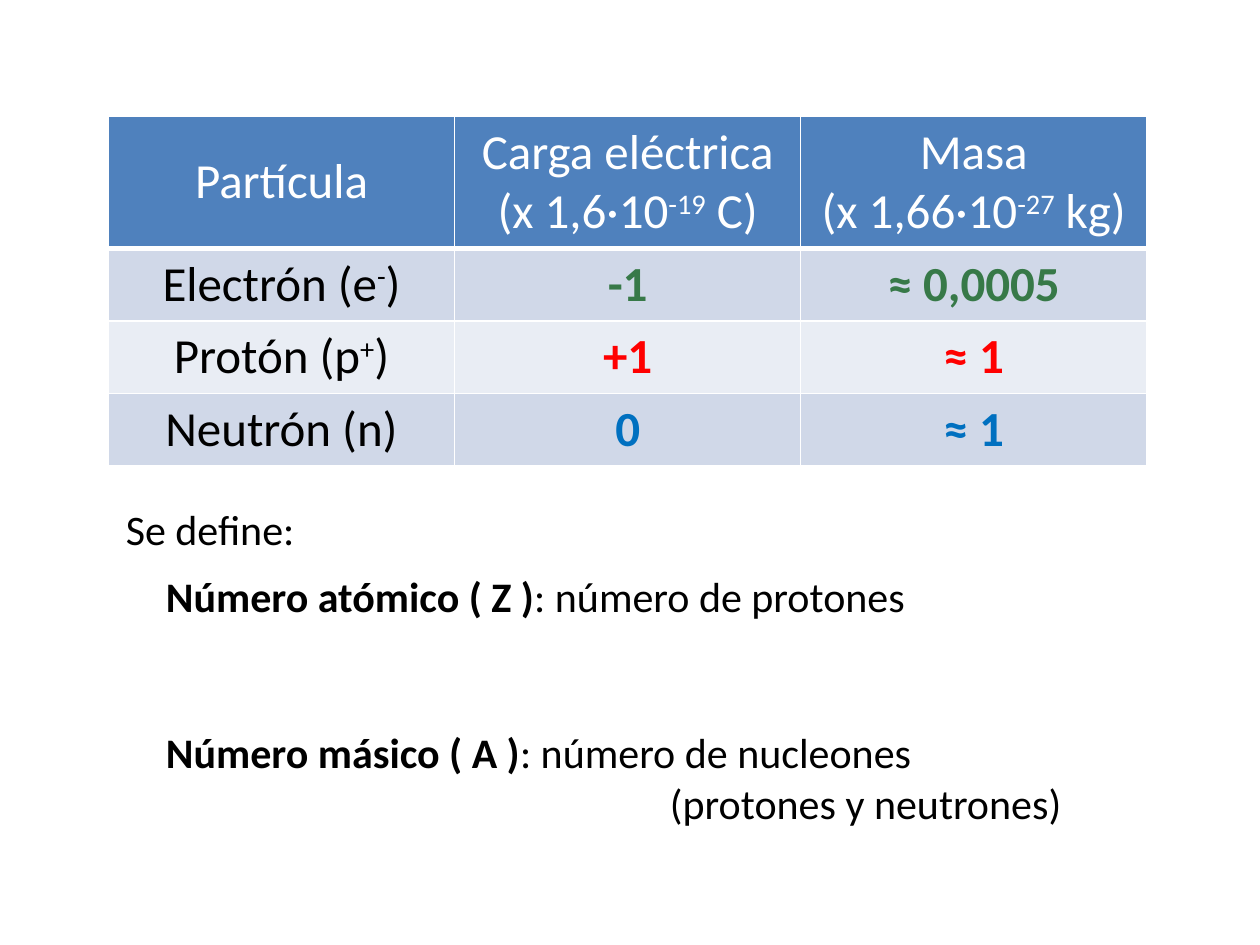
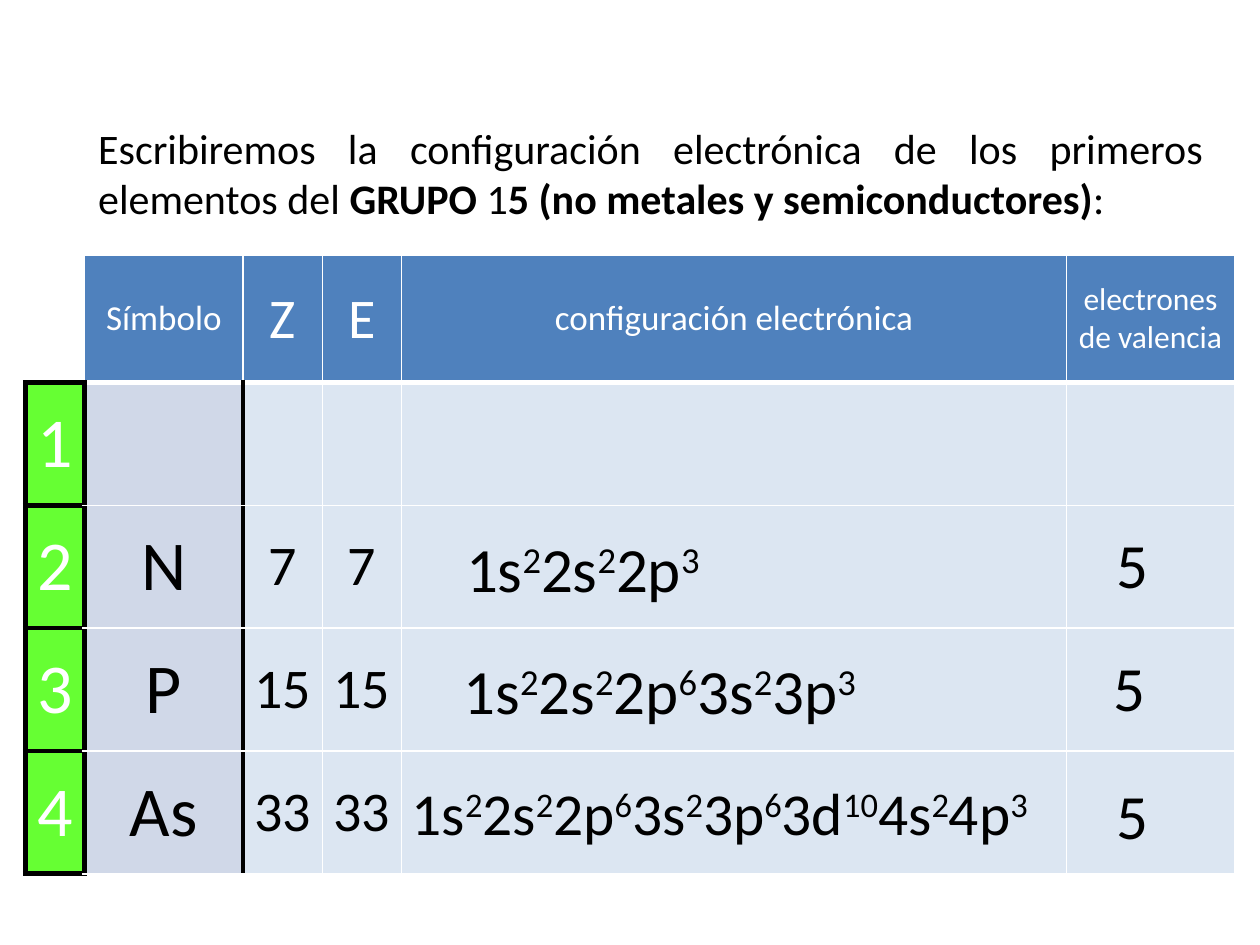
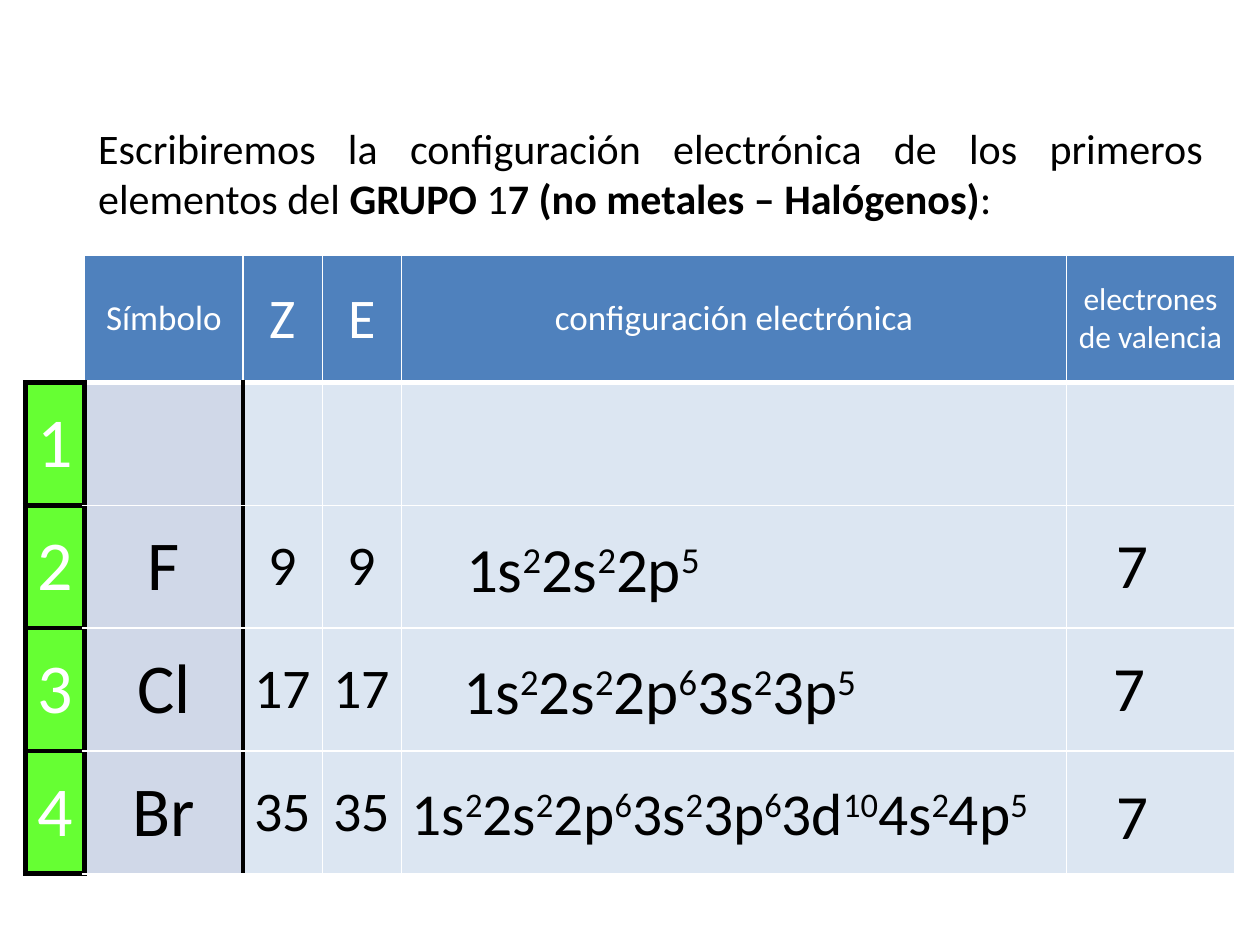
from pptx import Presentation
from pptx.dml.color import RGBColor
from pptx.enum.text import MSO_ANCHOR as Anchor, PP_ALIGN as Align
from pptx.oxml.ns import qn
from pptx.util import Pt
from lxml.etree import SubElement

FONT = "Calibri"
WHITE = RGBColor(0xFF, 0xFF, 0xFF)
BLACK = RGBColor(0x00, 0x00, 0x00)
BLUE = RGBColor(0x4F, 0x81, 0xBD)
BAND_DARK = RGBColor(0xD0, 0xD8, 0xE8)
BAND_LIGHT = RGBColor(0xE9, 0xED, 0xF4)
PALE = RGBColor(0xDC, 0xE6, 0xF2)
LIME = RGBColor(0x66, 0xFF, 0x33)
GREEN = RGBColor(0x37, 0x79, 0x48)
RED = RGBColor(0xFF, 0x00, 0x00)
AZURE = RGBColor(0x00, 0x70, 0xC0)

THIN = (WHITE, 1)
HEAVY = (BLACK, 3)

# ^...^ is superscript, *...* is bold
PARTICLE_HEAD = ["Partícula", "Carga eléctrica\n(x 1,6·10^-19^ C)",
                 "Masa\n(x 1,66·10^-27^ kg)"]
PARTICLES = [
    ("Electrón (e^-^)", "*-1*", "*≈ 0,0005*", GREEN),
    ("Protón (p^+^)", "*+1*", "*≈ 1*", RED),
    ("Neutrón (n)", "*0*", "*≈ 1*", AZURE),
]
DEFINITIONS = [
    ("Se define:", 64.8, 284.4, 36),
    ("*Número atómico ( Z )*: número de protones", 87.8, 322.6, 36),
    ("*Número másico ( A )*: número de nucleones\n(protones y neutrones)", 87.8, 411.8, 65.5),
]

INTRO = "Escribiremos la configuración electrónica de los primeros elementos del "
GROUP_HEAD = [("Símbolo", 20), ("Z", 32), ("E", 32),
              ("configuración electrónica", 20), ("electrones de valencia", 18)]
GROUPS = [
    ("*GRUPO *1*5 (no metales y semiconductores)*:",
     [("N", 7), ("P", 15), ("As", 33)], 3),
    ("*GRUPO *1*7 (no metales – Halógenos)*:",
     [("F", 9), ("Cl", 17), ("Br", 35)], 5),
]
SHELLS = [
    ("1s^2^2s^2^2p", 36, (259.2, 298.8, 209.5, 51), (630.7, 296.6)),
    ("1s^2^2s^2^2p^6^3s^2^3p", 36, (257.8, 368.6, 317.5, 80), (629.3, 367.2)),
    ("1s^2^2s^2^2p^6^3s^2^3p^6^3d^10^4s^2^4p", 34, (228.2, 440, 415.4, 48), (630.7, 440)),
]


def write(tf, text, size, color=BLACK, align=Align.LEFT):
    for i, line in enumerate(text.split("\n")):
        p = tf.paragraphs[0] if i == 0 else tf.add_paragraph()
        p.alignment = align
        for j, part in enumerate(line.split("*")):
            for k, piece in enumerate(part.split("^")):
                if not piece:
                    continue
                r = p.add_run()
                r.text = piece
                r.font.name, r.font.size = FONT, Pt(size)
                r.font.bold = j % 2 == 1
                r.font.color.rgb = color
                if k % 2:
                    r.font._element.set("baseline", "30000")


def add_text(s, text, left, top, width, height, size=24, align=Align.LEFT):
    tf = s.shapes.add_textbox(Pt(left), Pt(top), Pt(width), Pt(height)).text_frame
    tf.word_wrap = True
    write(tf, text, size, align=align)
    return tf


def add_grid(s, left, top, widths, heights):
    tbl = s.shapes.add_table(len(heights), len(widths), Pt(left), Pt(top),
                             Pt(sum(widths)), Pt(sum(heights))).table
    tbl.first_row = tbl.horz_banding = False
    for col, w in zip(tbl.columns, widths):
        col.width = Pt(w)
    for row, h in zip(tbl.rows, heights):
        row.height = Pt(h)
    return tbl


def fill_cell(cell, fill, text="", size=28, color=BLACK, tight=False, **edges):
    tcPr = cell._tc.get_or_add_tcPr()
    for side in "LRTB":
        line_color, width = edges.get(side, THIN)
        ln = SubElement(tcPr, qn("a:ln" + side), w=str(Pt(width)))
        SubElement(SubElement(ln, qn("a:solidFill")), qn("a:srgbClr"), val=str(line_color))
    cell.fill.solid()
    cell.fill.fore_color.rgb = fill
    cell.vertical_anchor = Anchor.MIDDLE
    if tight:
        cell.margin_left = cell.margin_right = Pt(5)
        cell.margin_top = cell.margin_bottom = Pt(0)
    write(cell.text_frame, text, size, color, Align.CENTER)


def particles_slide(s):
    tbl = add_grid(s, 62, 66.3, [197.8] * 3, [74.3] + [40.75] * 3)
    for c, text in enumerate(PARTICLE_HEAD):
        fill_cell(tbl.cell(0, c), BLUE, text, color=WHITE, B=(WHITE, 3))
    for r, (*texts, accent) in enumerate(PARTICLES, 1):
        for c, text in enumerate(texts):
            fill_cell(tbl.cell(r, c), BAND_DARK if r % 2 else BAND_LIGHT, text,
                      color=accent if c else BLACK)
    for text, left, top, height in DEFINITIONS:
        tf = add_text(s, text, left, top, 645.8, height, align=Align.JUSTIFY)
        for p in tf.paragraphs[1:]:
            p._p.get_or_add_pPr().set("marL", str(Pt(288)))


def group_slide(s, title, elements, last):
    tbl = add_grid(s, 14.4, 145.9, [34, 90.5, 45.3, 45.3, 380, 96], [72.7] + [70.2] * 4)
    fill_cell(tbl.cell(0, 0), WHITE, B=HEAVY)
    for c, (text, size) in enumerate(GROUP_HEAD, 1):
        fill_cell(tbl.cell(0, c), BLUE, text, size, WHITE, True, B=(WHITE, 3))
    for r, (symbol, z) in enumerate([("", "")] + elements, 1):
        fill_cell(tbl.cell(r, 0), LIME, str(r), 40, WHITE, True,
                  L=HEAVY, R=HEAVY, T=HEAVY, B=HEAVY)
        fill_cell(tbl.cell(r, 1), BAND_DARK, symbol, 40, tight=True, L=HEAVY, R=HEAVY)
        for c, text in enumerate([str(z), str(z), "", ""], 2):
            fill_cell(tbl.cell(r, c), PALE, text, 32, tight=True,
                      L=HEAVY if c == 2 else THIN)
    add_text(s, INTRO + title, 49, 66.2, 645.8, 65.5, align=Align.JUSTIFY)
    for shells, size, box, valence in SHELLS:
        add_text(s, f"{shells}^{last}^", *box, size)
        add_text(s, str(last + 2), *valence, 41.8, 51, 36)


def main():
    prs = Presentation()
    prs.slide_width, prs.slide_height = Pt(720), Pt(540)
    blank = prs.slide_layouts[6]
    particles_slide(prs.slides.add_slide(blank))
    for group in GROUPS:
        group_slide(prs.slides.add_slide(blank), *group)
    prs.save("out.pptx")


if __name__ == "__main__":
    main()
